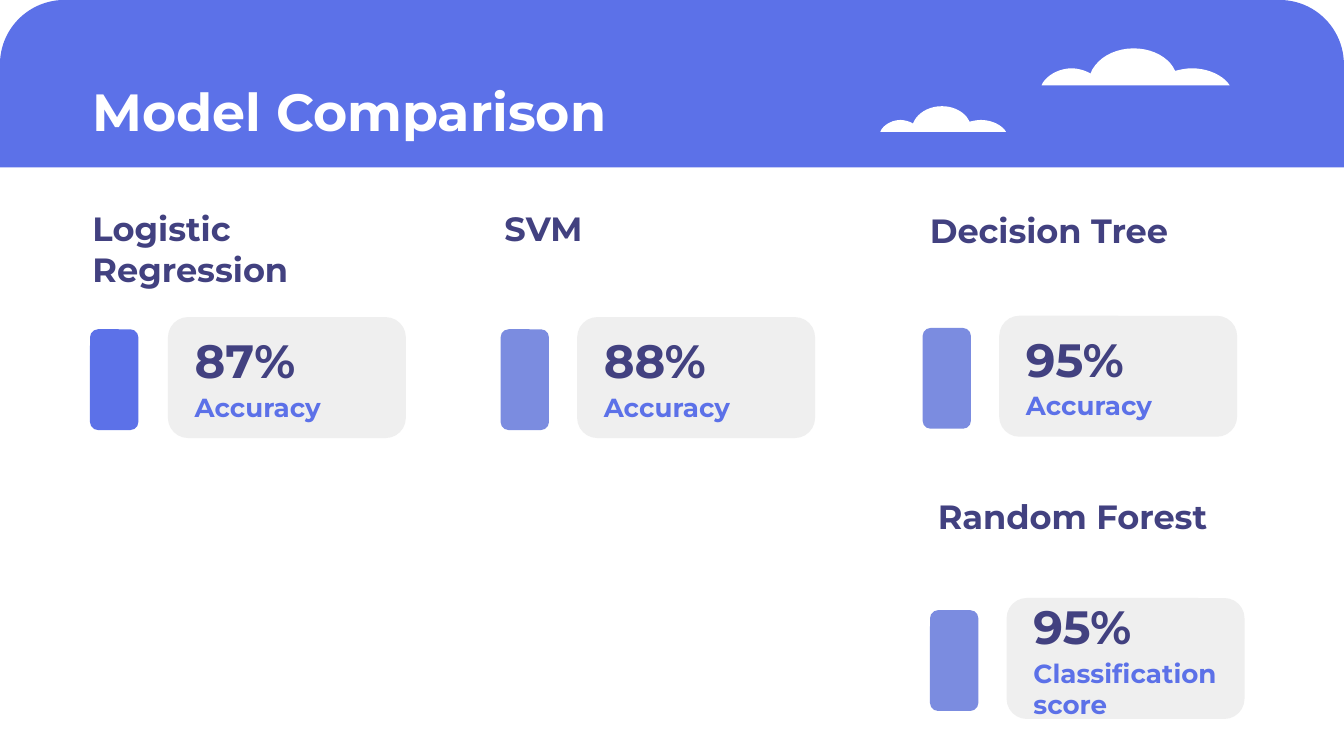
from dataclasses import dataclass

from pptx import Presentation
from pptx.dml.color import RGBColor
from pptx.enum.shapes import MSO_SHAPE
from pptx.util import Inches, Pt

# Grid: square cells, 100 columns across the slide
CELL = 0.1
COLS, ROWS = 100, 56.25
FONT = "Montserrat"
COLORS = {
    "blue": "5C71E8",
    "soft_blue": "7B8CE0",
    "navy": "424180",
    "grey": "EFEFEF",
    "white": "FFFFFF",
}


@dataclass
class Box:
    col: float
    row: float
    cols: float
    rows: float

    def inches(self) -> list:
        return [Inches(n * CELL) for n in (self.col, self.row, self.cols, self.rows)]


@dataclass
class Model:
    name: str
    score: str
    caption: str
    col: float  # left edge of the bar
    row: float  # top edge of the bar
    heading_col: float
    heading_row: float
    bar: str = "soft_blue"
    caption_cols: float = 35.4
    panel_gap: float = 5.7
    text_rise: float = 0


MODELS = [
    Model("Logistic Regression", "87%", "Accuracy", 6.7, 24.5, 5.9, 14.5,
          bar="blue", panel_gap=5.8),
    Model("SVM", "88%", "Accuracy", 37.25, 24.5, 36.55, 14.5),
    Model("Decision Tree", "95%", "Accuracy", 68.65, 24.4, 68.2, 14.6,
          caption_cols=14.5),
    Model("Random Forest", "95%", "Classification score", 69.2, 45.4, 68.8, 35.9,
          caption_cols=16.2, text_rise=1.1),
]

# Cloud outline from its left foot to its right foot, as shares of its box;
# each row holds two control points and an end point of a Bezier curve
CLOUD_CURVES = [
    [(0.02, 0.75), (0.09, 0.54), (0.16, 0.54)],
    [(0.19, 0.54), (0.23, 0.59), (0.26, 0.68)],
    [(0.29, 0.29), (0.38, 0), (0.49, 0)],
    [(0.59, 0), (0.68, 0.25), (0.71, 0.61)],
    [(0.74, 0.57), (0.77, 0.54), (0.8, 0.54)],
    [(0.89, 0.54), (0.97, 0.75), (1, 1)],
]
CLOUDS = [Box(77.5, 3.6, 14, 2.75), Box(65.5, 7.9, 9.35, 1.9)]
CURVE_STEPS = 10


def rgb(name: str) -> RGBColor:
    return RGBColor.from_string(COLORS[name])


def paint(sp, color: str) -> None:
    sp.shadow.inherit = False
    sp.fill.solid()
    sp.fill.fore_color.rgb = rgb(color)
    sp.line.fill.background()


def add_block(s, kind: MSO_SHAPE, box: Box, color: str, *adj: float) -> None:
    sp = s.shapes.add_shape(kind, *box.inches())
    for i, value in enumerate(adj):
        sp.adjustments[i] = value
    paint(sp, color)


def add_text(s, box: Box, text: str, size: int, color: str) -> None:
    tf = s.shapes.add_textbox(*box.inches()).text_frame
    tf.word_wrap = True
    tf.margin_left = tf.margin_right = Inches(0.1)
    tf.margin_top = tf.margin_bottom = Inches(0.1)
    r = tf.paragraphs[0].add_run()
    r.text = text
    r.font.name = FONT
    r.font.size = Pt(size)
    r.font.bold = True
    r.font.color.rgb = rgb(color)


def curve_points(start: tuple, curve: list) -> list:
    points = []
    for step in range(1, CURVE_STEPS + 1):
        t = step / CURVE_STEPS
        weights = ((1 - t) ** 3, 3 * t * (1 - t) ** 2, 3 * t * t * (1 - t), t ** 3)
        corners = (start, *curve)
        points.append(tuple(sum(w * c[axis] for w, c in zip(weights, corners))
                            for axis in (0, 1)))
    return points


def add_cloud(s, box: Box) -> None:
    points = [(0, 1)]
    for curve in CLOUD_CURVES:
        points += curve_points(points[-1], curve)
    left, top, width, height = box.inches()
    outline = [(round(left + x * width), round(top + y * height)) for x, y in points]
    builder = s.shapes.build_freeform(*outline[0])
    builder.add_line_segments(outline[1:], close=True)
    paint(builder.convert_to_shape(), "white")


def add_model(s, m: Model) -> None:
    panel_col = m.col + m.panel_gap
    text_col, text_row = panel_col + 1, m.row - m.text_rise
    add_block(s, MSO_SHAPE.ROUNDED_RECTANGLE,
              Box(panel_col, m.row - 0.9, 17.7, 9), "grey", 0.167)
    add_text(s, Box(text_col, text_row - 0.8, 20.1, 4), m.score, 25, "navy")
    add_text(s, Box(text_col, text_row + 3.6, m.caption_cols, 4), m.caption, 14, "blue")
    add_block(s, MSO_SHAPE.ROUNDED_RECTANGLE, Box(m.col, m.row, 3.6, 7.5), m.bar, 0.167)
    add_text(s, Box(m.heading_col, m.heading_row, 26, 6.4), m.name, 18, "navy")


def main() -> None:
    prs = Presentation()
    prs.slide_width, prs.slide_height = Inches(COLS * CELL), Inches(ROWS * CELL)
    s = prs.slides.add_slide(prs.slide_layouts[6])

    # Header band with clouds and title
    add_block(s, MSO_SHAPE.ROUND_2_SAME_RECTANGLE, Box(0, 0, COLS, 12.45),
              "blue", 0.385, 0)
    for cloud in CLOUDS:
        add_cloud(s, cloud)
    add_text(s, Box(5.9, 4.9, 50.2, 6.3), "Model Comparison", 28, "white")

    # Model scores
    for model in MODELS:
        add_model(s, model)

    prs.save("out.pptx")


if __name__ == "__main__":
    main()
